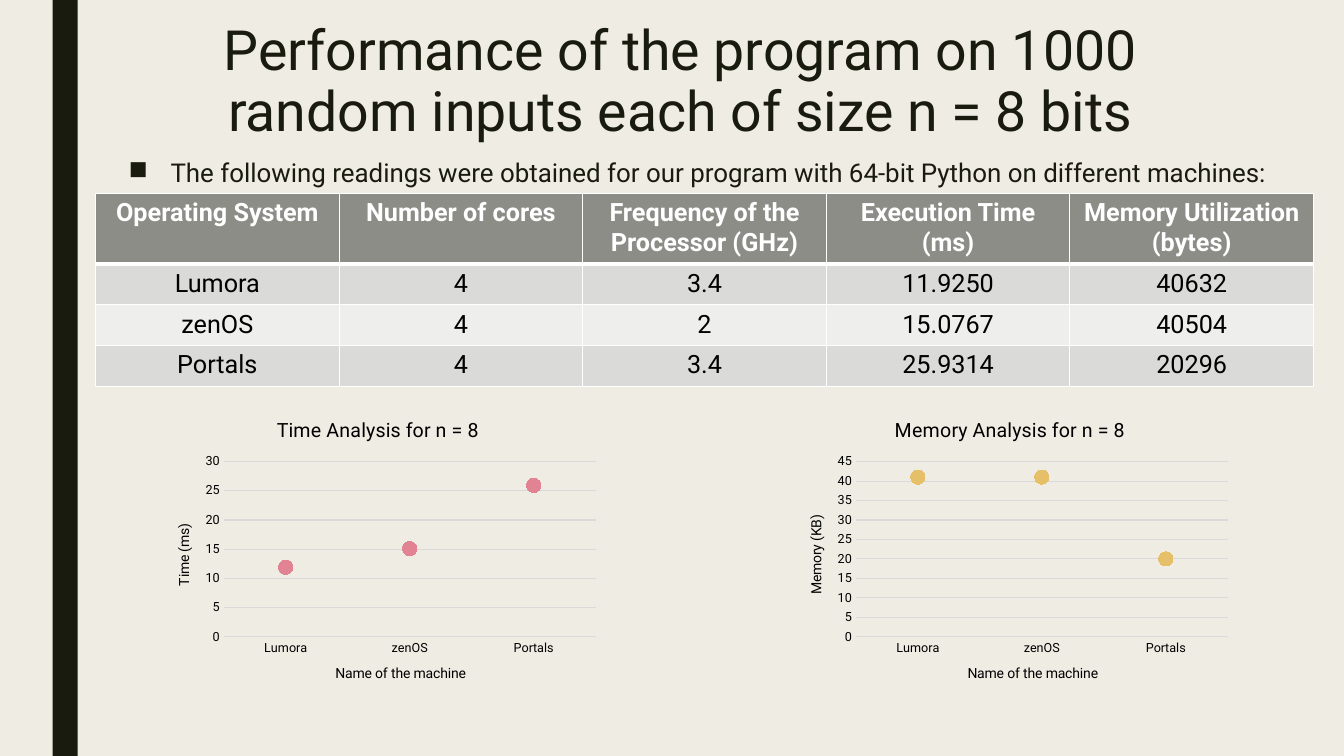
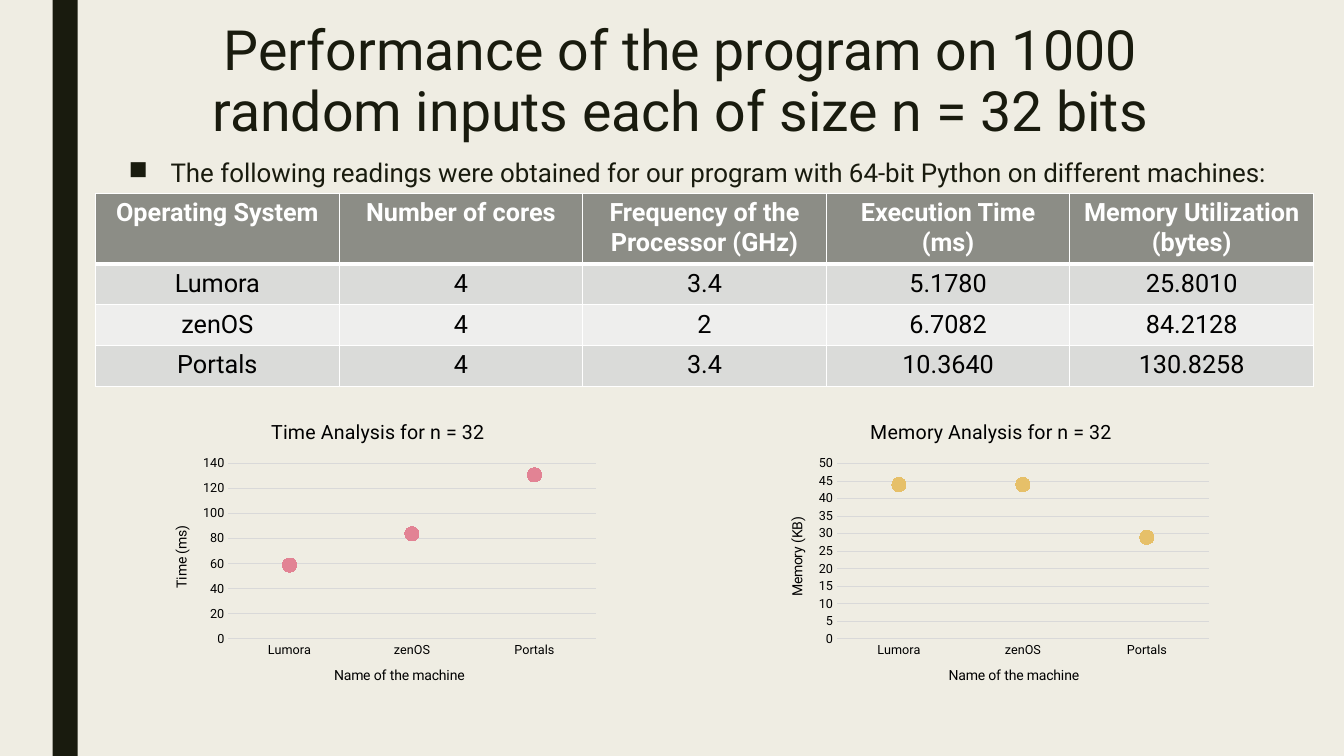
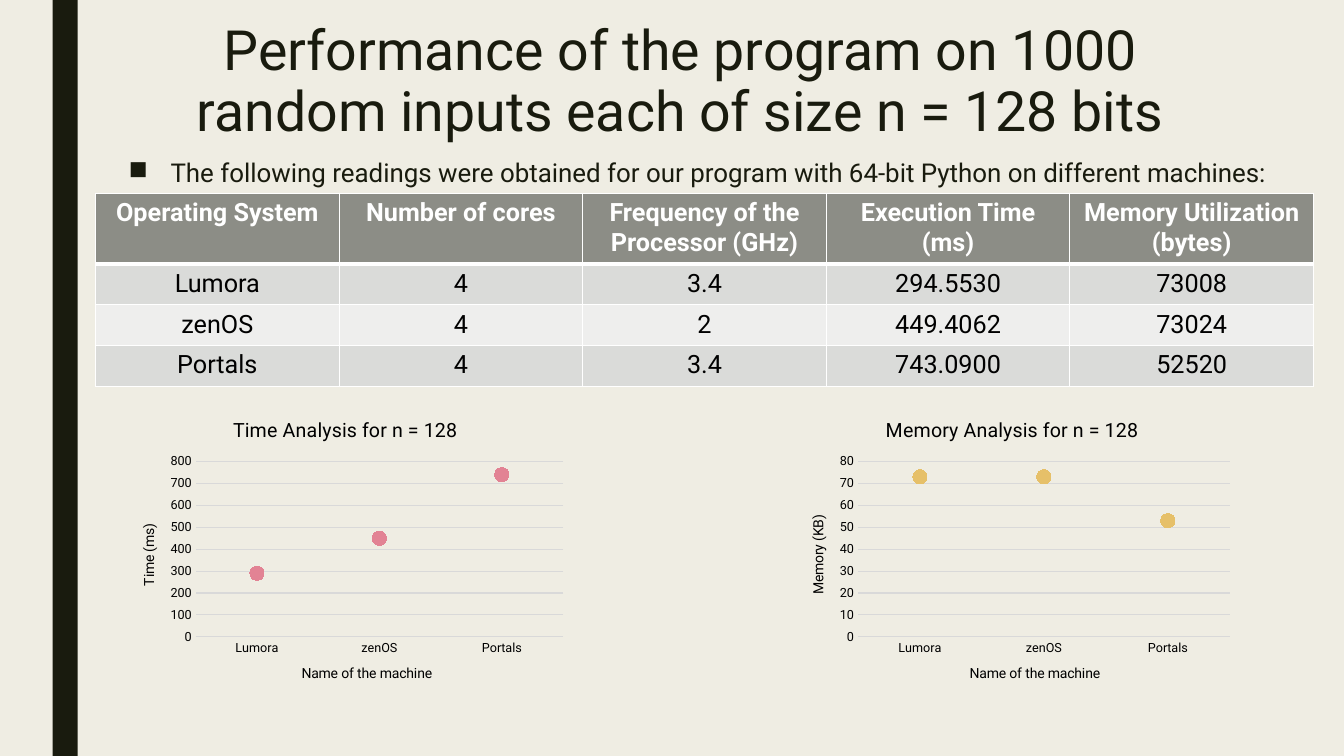
from lxml import etree
from pptx import Presentation
from pptx.chart.data import CategoryChartData
from pptx.dml.color import RGBColor
from pptx.enum.chart import XL_CHART_TYPE, XL_MARKER_STYLE, XL_TICK_MARK
from pptx.enum.shapes import MSO_SHAPE
from pptx.enum.text import MSO_ANCHOR, PP_ALIGN
from pptx.oxml import parse_xml
from pptx.oxml.ns import nsdecls, qn
from pptx.util import Pt

RECT = MSO_SHAPE.RECTANGLE
TOP = MSO_ANCHOR.TOP
LEFT, CENTER = PP_ALIGN.LEFT, PP_ALIGN.CENTER
LINE = XL_CHART_TYPE.LINE_MARKERS
CIRCLE = XL_MARKER_STYLE.CIRCLE
NO_TICK = XL_TICK_MARK.NONE

WIDE, HIGH = 1280, 720
FONT = "Roboto"
INK, PAPER, WHITE, BLACK = "191B0E", "EFEDE3", "FFFFFF", "000000"
HEAD, ODD, EVEN, GRID = "8C8D86", "DADBD9", "EEEEED", "D9D9D9"
PINK, GOLD = "E28394", "E6C069"

INTRO = ("The following readings were obtained for our program "
         "with 64-bit Python on different machines:")
HEADS = ["Operating System", "Number of cores",
         "Frequency of the Processor (GHz)",
         "Execution Time (ms)", "Memory Utilization (bytes)"]
HOSTS = ["Lumora", "zenOS", "Portals"]
CORES = ["4", "4", "4"]
SPEEDS = ["3.4", "2", "3.4"]

# Charts: left, top, values, axis maximum, axis step
RUNS = [
    {"bits": 8,
     "times": ["11.9250", "15.0767", "25.9314"],
     "bytes": ["40632", "40504", "20296"],
     "time": (144, 382, [11.9, 15.1, 25.9], 30, 5),
     "memory": (746, 382, [41, 41, 20], 45, 5)},
    {"bits": 32,
     "times": ["5.1780", "6.7082", "10.3640"],
     "bytes": ["25.8010", "84.2128", "130.8258"],
     "time": (144, 384, [59, 84, 131], 140, 20),
     "memory": (728, 384, [44, 44, 29], 50, 5)},
    {"bits": 128,
     "times": ["294.5530", "449.4062", "743.0900"],
     "bytes": ["73008", "73024", "52520"],
     "time": (113, 382, [290, 450, 740], 800, 100),
     "memory": (748, 382, [73, 73, 53], 80, 10)},
]


def px(n):
    return n * 9525


def box(*sides):
    return [px(n) for n in sides]


def color(code):
    return RGBColor.from_string(code)


def style(font, size, code, bold=False):
    font.name, font.size, font.bold = FONT, Pt(size), bold
    font.color.rgb = color(code)


def paint(fill, code):
    fill.solid()
    fill.fore_color.rgb = color(code)


def write(slide, area, text, size, align, gap):
    """Add a one-paragraph text box and return the paragraph."""
    frame = slide.shapes.add_textbox(*box(*area)).text_frame
    frame.word_wrap = True
    frame.vertical_anchor = TOP
    para = frame.paragraphs[0]
    para.text = text
    para.alignment = align
    para.line_spacing = gap
    style(para.font, size, INK)
    return para


def add_base(slide):
    """Paint the background and the dark band on the left."""
    paint(slide.background.fill, PAPER)
    band = slide.shapes.add_shape(RECT, *box(50, 0, 24, HIGH))
    band.shadow.inherit = False
    paint(band.fill, INK)
    band.line.fill.background()


def add_intro(slide, area):
    para = write(slide, area, INTRO, 18.5, LEFT, 0.94)
    para.space_before, para.space_after = Pt(10), Pt(2)
    props = para._p.get_or_add_pPr()
    props.set("marL", str(px(40)))
    props.set("indent", str(px(-40)))
    mark = parse_xml(f'<a:buChar {nsdecls("a")} char="■"/>')
    props.find(qn("a:defRPr")).addprevious(mark)


def add_edges(cell, top, base):
    """Draw white cell borders; top and base are widths in points."""
    props = cell._tc.get_or_add_tcPr()
    sides = [("lnL", 1), ("lnR", 1), ("lnT", top), ("lnB", base)]
    for i, (side, width) in enumerate(sides):
        props.insert(i, parse_xml(
            f'<a:{side} {nsdecls("a")} w="{Pt(width)}"><a:solidFill>'
            f'<a:srgbClr val="{WHITE}"/></a:solidFill></a:{side}>'))


def add_grid(slide, area, run):
    rows = [HEADS, *zip(HOSTS, CORES, SPEEDS, run["times"], run["bytes"])]
    table = slide.shapes.add_table(
        len(rows), len(HEADS), *box(*area)).table
    table.first_row = table.horz_banding = False
    for col in table.columns:
        col.width = px(area[2] // len(HEADS))
    for r, row in enumerate(rows):
        head = r == 0
        table.rows[r].height = px(66 if head else 39)
        for c, text in enumerate(row):
            cell = table.cell(r, c)
            paint(cell.fill, HEAD if head else ODD if r % 2 else EVEN)
            add_edges(cell, 3 if r == 1 else 1, 3 if head else 1)
            para = cell.text_frame.paragraphs[0]
            para.text = text
            para.alignment = CENTER
            style(para.font, 18, WHITE if head else BLACK, head)


def add_name(owner, text, size):
    """Title a chart or an axis."""
    para = owner.text_frame.paragraphs[0]
    para.text = text
    style(para.font, size, BLACK)


def fix_plot(chart, left):
    """Fix the inner plot area, in shares of the chart's size."""
    plot = chart._chartSpace.chart.plotArea
    for old in plot.findall(qn("c:layout")):
        plot.remove(old)
    layout = parse_xml(f'<c:layout {nsdecls("c")}/>')
    inner = etree.SubElement(layout, qn("c:manualLayout"))
    parts = [("layoutTarget", "inner"), ("xMode", "edge"), ("yMode", "edge"),
             ("x", left), ("y", 0.2), ("w", round(0.98 - left, 2)),
             ("h", 0.58)]
    for tag, value in parts:
        etree.SubElement(inner, qn(f"c:{tag}")).set("val", str(value))
    plot.insert(0, layout)


def add_plot(slide, spot, title, label, tint):
    left, top, values, most, step = spot
    data = CategoryChartData()
    data.categories = HOSTS
    data.add_series("Series 1", values)
    chart = slide.shapes.add_chart(
        LINE, *box(left, top, 432, 288), data).chart
    style(chart.font, 10, BLACK)
    chart.has_legend = False
    chart.has_title = True
    add_name(chart.chart_title, title, 14)
    chart.plots[0].vary_by_categories = False

    base, side = chart.category_axis, chart.value_axis
    for axis, text in ((base, "Name of the machine"), (side, label)):
        add_name(axis.axis_title, text, 10)
        axis.major_tick_mark = axis.minor_tick_mark = NO_TICK
        style(axis.tick_labels.font, 9, BLACK)
    side.minimum_scale, side.maximum_scale = 0, most
    side.major_unit = step
    side.format.line.fill.background()
    side.has_major_gridlines = True
    for line in (base.format.line, side.major_gridlines.format.line):
        line.color.rgb = color(GRID)
        line.width = Pt(0.75)

    series = chart.plots[0].series[0]
    series.smooth = False
    series.format.line.fill.background()
    series.marker.style, series.marker.size = CIRCLE, 10
    paint(series.marker.format.fill, tint)
    series.marker.format.line.color.rgb = color(tint)
    fix_plot(chart, 0.17 if most >= 100 else 0.16)


def add_report(deck, run):
    slide = deck.slides.add_slide(deck.slide_layouts[6])
    bits = run["bits"]
    add_base(slide)
    write(slide, (144, 16, 1008, 130),
          "Performance of the program on 1000 random inputs "
          f"each of size n = {bits} bits", 39.6, CENTER, 0.92)
    add_intro(slide, (113, 147, 1116, 51))
    add_grid(slide, (91, 184, 1160, 183), run)
    add_plot(slide, run["time"], f"Time Analysis for n = {bits}",
             "Time (ms)", PINK)
    add_plot(slide, run["memory"], f"Memory Analysis for n = {bits}",
             "Memory (KB)", GOLD)


def main():
    deck = Presentation()
    deck.slide_width, deck.slide_height = px(WIDE), px(HIGH)
    for run in RUNS:
        add_report(deck, run)
    deck.save("out.pptx")


if __name__ == "__main__":
    main()
